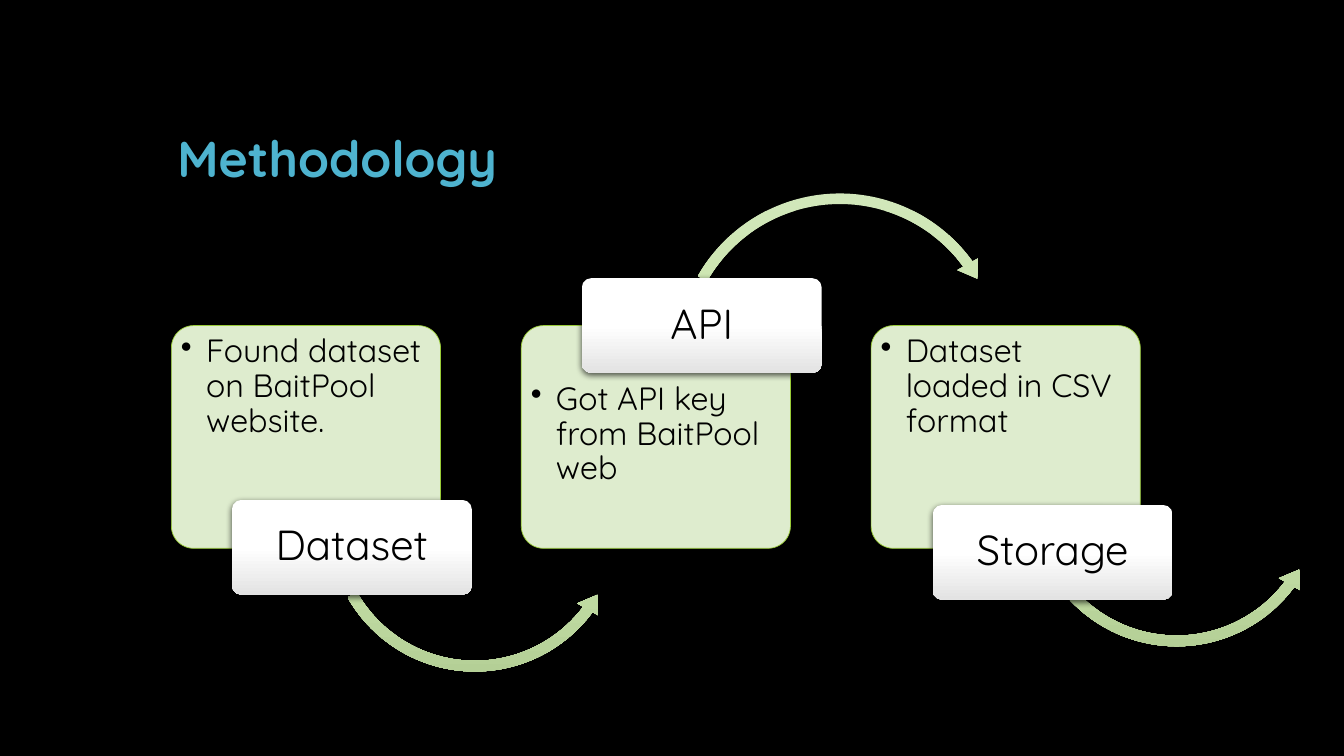
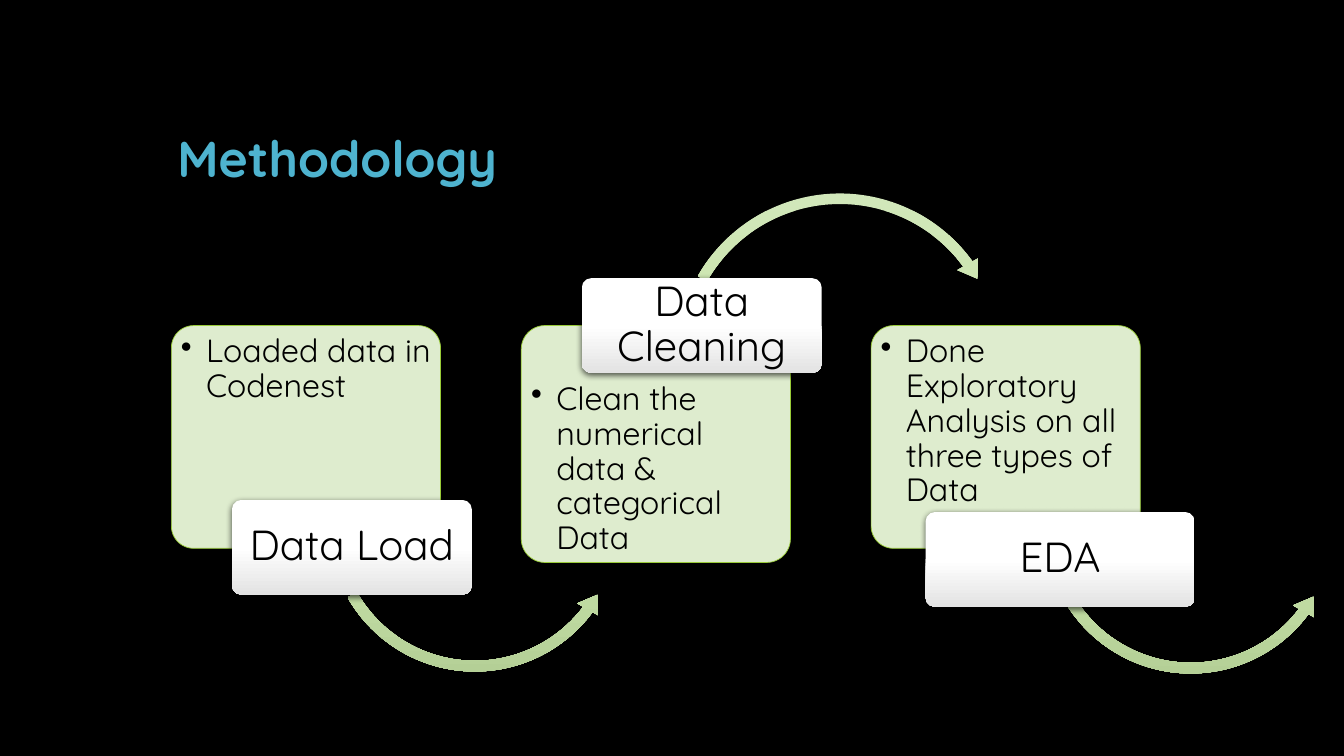
from copy import deepcopy
from dataclasses import dataclass

from lxml.etree import SubElement
from pptx import Presentation
from pptx.dml.color import RGBColor
from pptx.enum.shapes import MSO_SHAPE as Shape
from pptx.enum.text import MSO_ANCHOR as Anchor, MSO_AUTO_SIZE as AutoSize, PP_ALIGN as Align
from pptx.oxml.ns import qn
from pptx.util import Inches, Pt

FONT = "Quicksand"
COLORS = {
    "background": "000000",
    "title": "4EB3CF",
    "text": "000000",
    "card": "DEECCE",
    "card_line": "99CB38",
    "shadow": "000000",
}
ARROW_STOPS = [(0, "D1E7BA"), (0.5, "CAE5AC"), (1, "B4CF96")]
LABEL_STOPS = [(0, "FFFFFF"), (0.5, "FFFFFF"), (1, "E3E3E3")]

# Card row, in inches
FIRST_LEFT, PITCH, CARD_TOP, CARD_WIDTH = 1.7, 3.47, 3.23, 2.67
LABEL_HEIGHT, CORNER = 0.94, 0.1

# Arrow preset, size and adjustments for arcs below and above the row
ARC_BELOW = (Shape.LEFT_CIRCULAR_ARROW, 3.04, (0.035, 4.277, 22.032, 90.245, 0.04))
ARC_ABOVE = (Shape.CIRCULAR_ARROW, 3.38, (0.031, 3.813, 194.431, 125.755, 0.036))


@dataclass
class Step:
    label: str
    detail: str
    arrow_at: tuple
    label_top: float = 4.96
    label_shift: float = 0.6
    label_width: float = 2.38
    card_height: float = 2.21
    label_above: bool = False


SLIDES = [
    [
        Step("Dataset", "Found dataset on BaitPool website.", (3.19, 3.69)),
        Step("API", "Got API key from BaitPool web", (6.64, 1.85),
             label_top=2.76, label_above=True),
        Step("Storage", "Dataset loaded in CSV format", (10.15, 3.44),
             label_top=5.01, label_shift=0.61),
    ],
    [
        Step("Data Load", "Loaded data in Codenest", (3.19, 3.69)),
        Step("Data Cleaning", "Clean the numerical data & categorical Data", (6.64, 1.85),
             label_top=2.76, card_height=2.35, label_above=True),
        Step("EDA", "Done Exploratory Analysis on all three types of Data", (10.29, 3.71),
             label_top=5.08, label_shift=0.54, label_width=2.67),
    ],
]


def rgb(name):
    return RGBColor.from_string(COLORS[name])


def write(frame, text, size, color, align=Align.LEFT, bold=False):
    """Put one formatted run in the frame and return its paragraph."""
    frame.word_wrap = True
    frame.auto_size = AutoSize.NONE
    para = frame.paragraphs[0]
    para.alignment = align
    para.line_spacing = 0.9
    span = para.add_run()
    span.text = text
    span.font.name = FONT
    span.font.size = Pt(size)
    span.font.bold = bold
    span.font.color.rgb = rgb(color)
    return para


def set_insets(frame, left, top, right, bottom):
    frame.margin_left, frame.margin_top = Inches(left), Inches(top)
    frame.margin_right, frame.margin_bottom = Inches(right), Inches(bottom)


def add_plain_shape(slide, preset, left, top, width, height):
    box = slide.shapes.add_shape(
        preset, Inches(left), Inches(top), Inches(width), Inches(height))
    box.shadow.inherit = False
    box.line.fill.background()
    return box


def fill_gradient(box, stops):
    """Fill from top to bottom through three stops."""
    box.fill.gradient()
    box.fill.gradient_angle = 270
    stop_list = next(box.element.iter(qn("a:gsLst")))
    stop_list.append(deepcopy(stop_list[-1]))
    for stop, (position, color) in zip(box.fill.gradient_stops, stops):
        stop.position = position
        stop.color.rgb = RGBColor.from_string(color)


def add_shadow(box):
    effects = box.element.spPr.find(qn("a:effectLst"))
    outer = SubElement(effects, qn("a:outerShdw"), blurRad=str(Pt(4.5)),
                       dist=str(Pt(1.5)), dir="5400000", algn="ctr", rotWithShape="0")
    color = SubElement(outer, qn("a:srgbClr"), val=COLORS["shadow"])
    SubElement(color, qn("a:alpha"), val="63000")


def add_bullet(para):
    properties = para._p.get_or_add_pPr()
    properties.set("marL", str(Inches(0.25)))
    properties.set("indent", str(Inches(-0.25)))
    SubElement(properties, qn("a:buChar"), char="•")


def add_card(slide, step, left):
    card = add_plain_shape(slide, Shape.ROUNDED_RECTANGLE,
                           left, CARD_TOP, CARD_WIDTH, step.card_height)
    card.adjustments[0] = CORNER
    card.fill.solid()
    card.fill.fore_color.rgb = rgb("card")
    card.line.color.rgb = rgb("card_line")
    card.line.width = Pt(0.5)
    frame = card.text_frame
    frame.vertical_anchor = Anchor.TOP
    # The side under the label keeps its text clear of it
    top, bottom = (0.5, 0.03) if step.label_above else (0.03, 0.5)
    set_insets(frame, 0.03, top, 0.03, bottom)
    add_bullet(write(frame, step.detail, 23, "text"))


def add_arrow(slide, step):
    preset, size, adjustments = ARC_ABOVE if step.label_above else ARC_BELOW
    arrow = add_plain_shape(slide, preset, *step.arrow_at, size, size)
    for index, value in enumerate(adjustments):
        arrow.adjustments[index] = value
    fill_gradient(arrow, ARROW_STOPS)
    add_shadow(arrow)


def add_label(slide, step, left):
    label = add_plain_shape(slide, Shape.ROUNDED_RECTANGLE, left + step.label_shift,
                            step.label_top, step.label_width, LABEL_HEIGHT)
    label.adjustments[0] = CORNER
    fill_gradient(label, LABEL_STOPS)
    add_shadow(label)
    frame = label.text_frame
    frame.vertical_anchor = Anchor.MIDDLE
    set_insets(frame, 0.06, 0.04, 0.06, 0.04)
    write(frame, step.label, 30, "text", Align.CENTER)


def add_title(slide, text):
    title = slide.shapes.title
    title.left, title.top = Inches(1.66), Inches(0.42)
    title.width, title.height = Inches(10), Inches(1.5)
    title.text_frame.vertical_anchor = Anchor.BOTTOM
    write(title.text_frame, text, 36, "title", bold=True)


def add_process_slide(deck, steps):
    slide = deck.slides.add_slide(deck.slide_layouts.get_by_name("Title Only"))
    add_title(slide, "Methodology")
    for index, step in enumerate(steps):
        left = FIRST_LEFT + index * PITCH
        add_card(slide, step, left)
        add_arrow(slide, step)
        add_label(slide, step, left)


def main():
    deck = Presentation()
    deck.slide_width, deck.slide_height = Inches(13.33), Inches(7.5)
    # Shared background
    backdrop = deck.slide_master.background.fill
    backdrop.solid()
    backdrop.fore_color.rgb = rgb("background")
    for steps in SLIDES:
        add_process_slide(deck, steps)
    deck.save("out.pptx")


if __name__ == "__main__":
    main()
